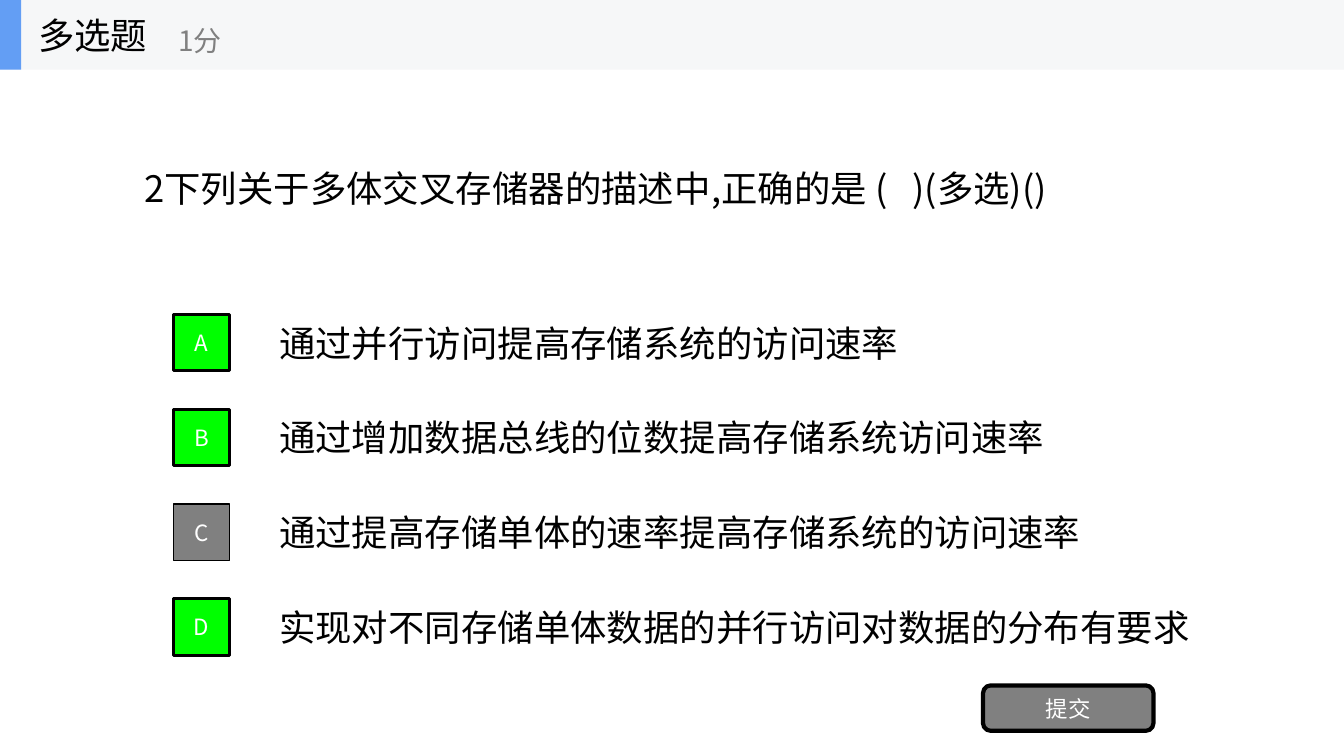
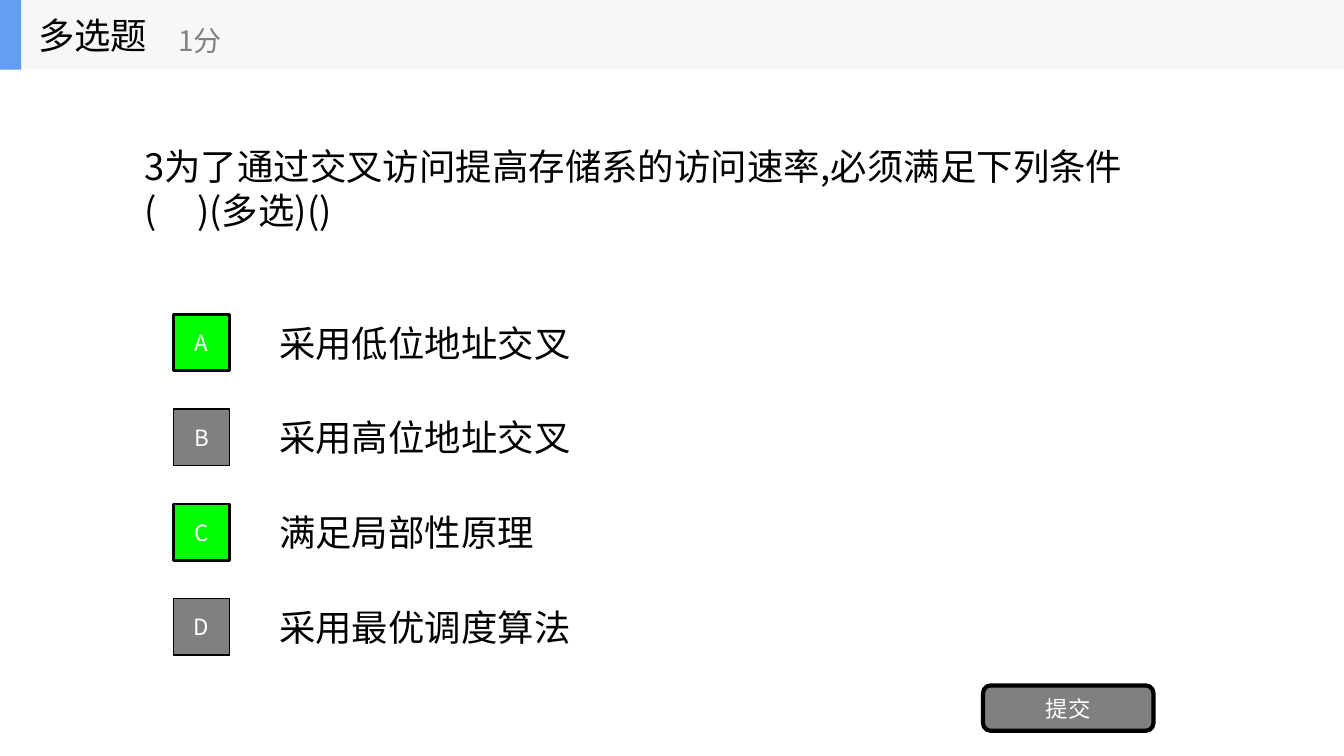
from lxml import etree
from pptx import Presentation
from pptx.dml.color import RGBColor
from pptx.enum.shapes import MSO_SHAPE
from pptx.enum.text import MSO_ANCHOR, MSO_AUTO_SIZE, PP_ALIGN
from pptx.oxml.ns import qn
from pptx.util import Inches, Pt

RECT, ROUNDED = MSO_SHAPE.RECTANGLE, MSO_SHAPE.ROUNDED_RECTANGLE
LEFT, CENTER = PP_ALIGN.LEFT, PP_ALIGN.CENTER

COLORS = {
    "ink": "000000",
    "paper": "FFFFFF",
    "muted": "808080",
    "correct": "00FF00",
    "band": "F6F7F8",
    "accent": "639EF4",
}
FONT = "Noto Sans CJK SC"
FRAME_FORMAT = {
    "word_wrap": True,
    "auto_size": MSO_AUTO_SIZE.NONE,
    "vertical_anchor": MSO_ANCHOR.MIDDLE,
}

SLIDE_WIDTH, SLIDE_HEIGHT = 13.33, 7.5
HEADER_BOX = (0, 0, SLIDE_WIDTH, 0.69)
QUESTION_LEFT, QUESTION_TOP, QUESTION_HEIGHT = 1.33, 1.38, 0.97
OPTIONS_BOX = (1.72, 3.12, 10.35, 3.38)
SUBMIT_BOX = (9.75, 6.8, 1.69, 0.45)
BADGE_SIZE = 0.56
OPTION_INDENT = 0.95

# Each question: text, width of its box, correct letters, options A to D
QUESTIONS = [
    ("2下列关于多体交叉存储器的描述中,正确的是 (   )(多选)()", 9.34, "ABD", [
        "通过并行访问提高存储系统的访问速率",
        "通过增加数据总线的位数提高存储系统访问速率",
        "通过提高存储单体的速率提高存储系统的访问速率",
        "实现对不同存储单体数据的并行访问对数据的分布有要求",
    ]),
    ("3为了通过交叉访问提高存储系的访问速率,必须满足下列条件 (     )(多选)()", 10, "AC", [
        "采用低位地址交叉",
        "采用高位地址交叉",
        "满足局部性原理",
        "采用最优调度算法",
    ]),
]


def rgb(name):
    return RGBColor.from_string(COLORS[name])


def inches(box):
    return [Inches(length) for length in box]


def write(holder, text, size=26, color="ink", align=LEFT):
    frame = holder.text_frame
    for attribute, value in FRAME_FORMAT.items():
        setattr(frame, attribute, value)
    paragraph = frame.paragraphs[0]
    paragraph.alignment = align
    run = paragraph.add_run()
    run.text = text
    font_format = {"size": Pt(size), "name": FONT, "bold": False}
    for attribute, value in font_format.items():
        setattr(run.font, attribute, value)
    run.font.color.rgb = rgb(color)
    # East Asian text takes its own typeface element
    etree.SubElement(run._r.get_or_add_rPr(), qn("a:ea"), typeface=FONT)


def add_label(shapes, box, text, **style):
    write(shapes.add_textbox(*inches(box)), text, **style)


def add_panel(shapes, box, fill, kind=RECT, line_width=0, text=""):
    panel = shapes.add_shape(kind, *inches(box))
    panel.shadow.inherit = False
    panel.fill.solid()
    panel.fill.fore_color.rgb = rgb(fill)
    if line_width:
        panel.line.color.rgb = rgb("ink")
        panel.line.width = Pt(line_width)
    else:
        panel.line.fill.background()
    if text:
        write(panel, text, size=16, color="paper", align=CENTER)


def add_header(slide, box):
    left, top, width, height = box
    header = slide.shapes.add_group_shape().shapes
    add_panel(header, box, "band")
    add_panel(header, (left, top, 0.21, height), "accent")
    add_label(header, (left + 0.28, top, 2.08, height), "多选题")
    add_label(header, (left + 1.67, top + 0.12, 2.5, 0.56), "1分",
              size=20, color="muted")


def add_question(slide, box, text):
    title = slide.shapes.title
    title.left, title.top, title.width, title.height = inches(box)
    write(title, text)


def add_options(slide, box, options, correct):
    left, top, width, height = box
    pitch = (height - BADGE_SIZE) / (len(options) - 1)
    for row, (letter, option) in enumerate(zip("ABCD", options)):
        row_top = top + row * pitch
        fill, line_width = ("correct", 2) if letter in correct else ("muted", 1)
        add_panel(slide.shapes, (left, row_top, BADGE_SIZE, BADGE_SIZE), fill,
                  line_width=line_width, text=letter)
        add_label(slide.shapes, (left + OPTION_INDENT, row_top,
                                 width - OPTION_INDENT, BADGE_SIZE), option)


def add_submit(slide, box):
    add_panel(slide.shapes, box, "muted", kind=ROUNDED, line_width=3, text="提交")


def build_question_slide(prs, question, width, correct, options):
    slide = prs.slides.add_slide(prs.slide_layouts[5])
    add_question(slide, (QUESTION_LEFT, QUESTION_TOP, width, QUESTION_HEIGHT),
                 question)
    add_options(slide, OPTIONS_BOX, options, correct)
    add_submit(slide, SUBMIT_BOX)
    add_header(slide, HEADER_BOX)


def main():
    prs = Presentation()
    prs.slide_width = Inches(SLIDE_WIDTH)
    prs.slide_height = Inches(SLIDE_HEIGHT)
    for question in QUESTIONS:
        build_question_slide(prs, *question)
    prs.save("out.pptx")


if __name__ == "__main__":
    main()
